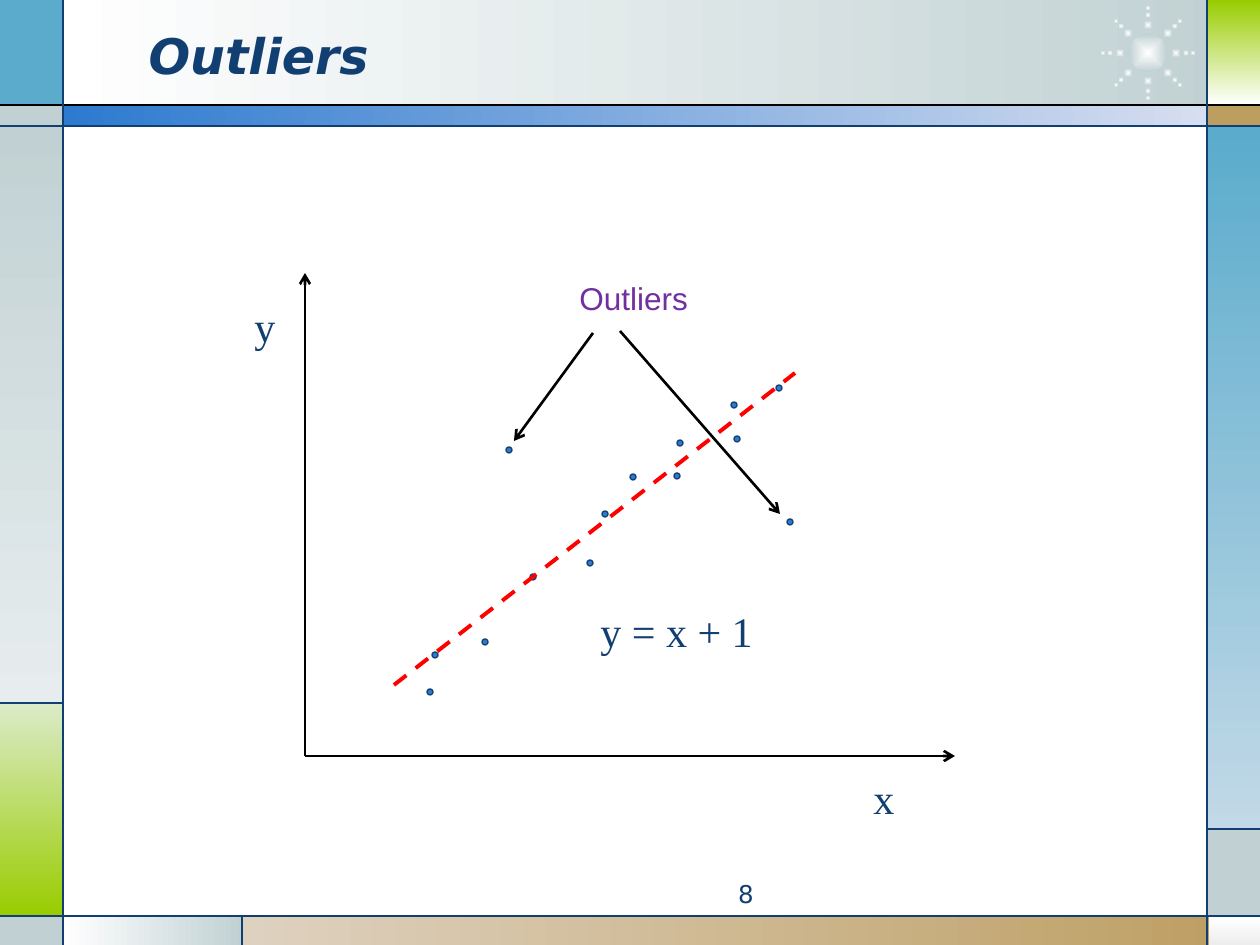
"""Build a slide that shows outliers around a regression line."""
import math

from lxml import etree
from pptx import Presentation
from pptx import util as u
from pptx.dml.color import RGBColor
from pptx.enum import dml, shapes, text
from pptx.oxml import ns

NAVY, BLUE, SKY, MIST = "113F71", "2D7ACF", "5AABCC", "C1D1D3"
LIME, TAN, WHITE, BLACK = "99CC00", "BD9E61", "FFFFFF", "000000"
ACROSS, DOWN = 0, 270

PANELS = [
    (63, 0, 1168, 106, (WHITE, MIST), ACROSS),
    (0, 0, 63, 106, (SKY,), None),
    (0, 105, 63, 21, (MIST,), None),
    (0, 126, 63, 577, (MIST, "E7EDEE"), DOWN),
    (0, 703, 63, 213, ("DBEBC9", LIME), DOWN),
    (0, 917, 63, 28, (MIST,), None),
    (63, 916, 180, 29, (WHITE, MIST), ACROSS),
    (242, 916, 1018, 29, ("DED1BF", TAN), ACROSS),
    (1209, 917, 51, 28, (WHITE, "EDEDED"), DOWN),
    (1208, 829, 52, 88, (MIST,), None),
    (1207, 126, 53, 703, (SKY, "C2D9E7"), DOWN),
    (1207, 105, 53, 21, (TAN,), None),
    (1208, 0, 52, 105, (LIME, WHITE), DOWN),
    (63, 105, 1145, 21, (BLUE, "D7DEF0"), ACROSS),
]
RULES = [
    (0, 105, 1260, 105, BLACK), (0, 126, 1260, 126, NAVY),
    (0, 916, 1260, 916, NAVY), (63, 0, 63, 945, NAVY),
    (1207, 0, 1207, 945, NAVY), (63, 703, 0, 703, NAVY),
    (242, 916, 242, 945, NAVY), (1207, 829, 1260, 829, NAVY),
]
POINTS = [
    (348, 290), (291, 304), (267, 177), (243, 369), (363, 241), (391, 204), (193, 382),
    (435, 203), (438, 170), (495, 166), (188, 419), (492, 132), (537, 115), (548, 249),
]
ARROWS = [
    (351, 60, 272, 168), (378, 58, 538, 241),
    (63, 483, 713, 483), (63, 483, 63, 0),
]
LABELS = [
    ("x", 619, 493, 47, 63, 24, "Times New Roman", NAVY),
    ("y", 0, 21, 47, 63, 24, "Times New Roman", NAVY),
    ("y = x + 1", 346, 326, 178, 63, 24, "Times New Roman", NAVY),
    ("Outliers", 325, 0, 135, 50, 18, "Arial", "7030A0"),
]


def px(length):
    """Turn pixels into EMU."""
    return u.Emu(round(length * 914400 / 126))


def color(value):
    """Turn a hex string into a colour."""
    return RGBColor.from_string(value)


def add_block(slide, kind, left, top, width, height, colors, angle=None, outline=None):
    """Add a preset shape with a plain or gradient fill."""
    shape = slide.shapes.add_shape(kind, px(left), px(top), px(width), px(height))
    shape.shadow.inherit = False
    if len(colors) == 1:
        shape.fill.solid()
        shape.fill.fore_color.rgb = color(colors[0])
    else:
        shape.fill.gradient()
        for stop, value in zip(shape.fill.gradient_stops, colors):
            stop.color.rgb = color(value)
        if angle is not None:
            shape.fill.gradient_angle = angle
    if outline:
        shape.line.color.rgb = color(outline)
        shape.line.width = u.Pt(0.75)
    else:
        shape.line.fill.background()
    return shape


def add_line(slide, x1, y1, x2, y2, value, width, arrow=False):
    """Add a straight line, with an arrowhead at its end if asked."""
    line = slide.shapes.add_connector(shapes.MSO_CONNECTOR.STRAIGHT, px(x1), px(y1), px(x2), px(y2))
    line.line.color.rgb = color(value)
    line.line.width = u.Pt(width)
    properties = line._element.spPr
    if arrow:
        etree.SubElement(properties.find(ns.qn("a:ln")), ns.qn("a:tailEnd"), type="arrow")
    etree.SubElement(properties, ns.qn("a:effectLst"))
    return line


def add_run(paragraph, words, size, font, value):
    """Add one formatted run and return it."""
    run = paragraph.add_run()
    run.text = words
    run.font.size = u.Pt(size)
    run.font.name = font
    run.font.color.rgb = color(value)
    return run


def add_label(slide, words, left, top, width, height, size, font, value):
    """Add a one-line text box that fits its text."""
    box = slide.shapes.add_textbox(px(left), px(top), px(width), px(height))
    box.text_frame.word_wrap = False
    box.text_frame.auto_size = text.MSO_AUTO_SIZE.SHAPE_TO_FIT_TEXT
    add_run(box.text_frame.paragraphs[0], words, size, font, value)


def add_glow(slide, x, y, size):
    """Add a round dot that fades from its centre."""
    dot = add_block(slide, shapes.MSO_SHAPE.OVAL, x - size / 2, y - size / 2, size, size, (WHITE, MIST))
    gradient = dot._element.spPr.find(ns.qn("a:gradFill"))
    gradient.remove(gradient.find(ns.qn("a:lin")))
    shade = etree.SubElement(gradient, ns.qn("a:path"), path="shape")
    etree.SubElement(shade, ns.qn("a:fillToRect"), l="50000", t="50000", r="50000", b="50000")


def add_starburst(slide, x, y):
    """Draw a core with eight arms of three shrinking dots."""
    add_glow(slide, x, y, 38)
    for arm in range(8):
        angle = arm * math.pi / 4
        for radius, size in ((38, 6), (45, 5), (28, 9)):
            add_glow(slide, x + radius * math.cos(angle), y + radius * math.sin(angle), size)


def add_frame(slide, left, top):
    """Draw the coloured border panels and their rules."""
    for x, y, width, height, colors, angle in PANELS:
        add_block(slide, shapes.MSO_SHAPE.RECTANGLE, left + x, top + y, width, height, colors, angle)
    add_starburst(slide, left + 1148, top + 53)
    for x1, y1, x2, y2, value in RULES:
        add_line(slide, left + x1, top + y1, left + x2, top + y2, value, 0.75)


def add_title(slide, left, top, width, height):
    """Place the title in front of the frame."""
    title = slide.shapes.title
    title.left, title.top, title.width, title.height = map(px, (left, top, width, height))
    title.text_frame.vertical_anchor = text.MSO_ANCHOR.MIDDLE
    paragraph = title.text_frame.paragraphs[0]
    paragraph.alignment = text.PP_ALIGN.LEFT
    run = add_run(paragraph, "Outliers", 28, "DejaVu Sans", NAVY)
    run.font.bold = run.font.italic = True
    slide.shapes._spTree.append(title._element)


def add_page_number(slide, left, top, width, height):
    """Place the page number at the right of its box."""
    box = slide.shapes.add_textbox(px(left), px(top), px(width), px(height))
    box.text_frame.word_wrap = True
    paragraph = box.text_frame.paragraphs[0]
    paragraph.alignment = text.PP_ALIGN.RIGHT
    add_run(paragraph, "8", 14, "DejaVu Sans", NAVY)


def add_plot(slide, left, top):
    """Draw the points, trend line, labels and axes."""
    size = 6
    for x, y in POINTS:
        add_block(slide, shapes.MSO_SHAPE.OVAL, left + x - size / 2, top + y - size / 2,
                  size, size, (BLUE,), outline=NAVY)
    trend = add_line(slide, left + 152, top + 412, left + 553, top + 100, "FF0000", 2.25)
    trend.line.dash_style = dml.MSO_LINE.DASH
    for words, x, y, *style in LABELS:
        add_label(slide, words, left + x, top + y, *style)
    for x1, y1, x2, y2 in ARROWS:
        add_line(slide, left + x1, top + y1, left + x2, top + y2, BLACK, 1.5, arrow=True)


def main():
    """Build and save the presentation."""
    presentation = Presentation()
    presentation.slide_width, presentation.slide_height = px(1260), px(945)
    slide = presentation.slides.add_slide(presentation.slide_layouts[5])
    add_frame(slide, 0, 0)
    add_title(slide, 136, 16, 924, 78)
    add_page_number(slide, 472, 873, 294, 34)
    add_plot(slide, 242, 273)
    presentation.save("out.pptx")


if __name__ == "__main__":
    main()
